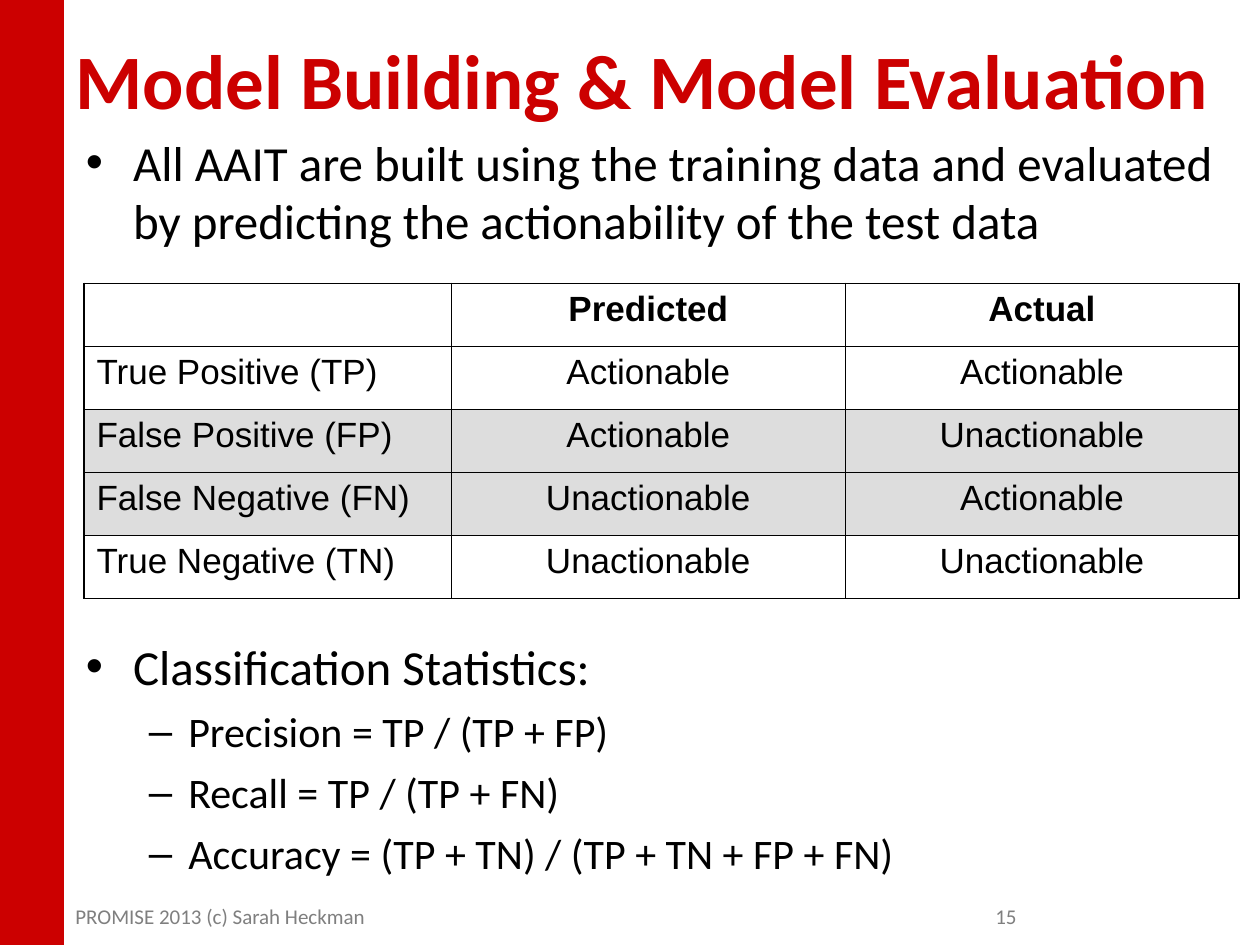
from lxml import etree
from pptx import Presentation
from pptx.dml.color import RGBColor
from pptx.enum.shapes import MSO_SHAPE
from pptx.enum.text import MSO_ANCHOR, PP_ALIGN
from pptx.oxml.ns import qn
from pptx.util import Emu, Pt

EMU_PER_PX = 9525
RED = RGBColor(0xCC, 0x00, 0x00)
BLACK = RGBColor(0x00, 0x00, 0x00)
GRAY = RGBColor(0x7F, 0x7F, 0x7F)
SHADE = RGBColor(0xDD, 0xDD, 0xDD)
LEFT, CENTER, RIGHT = PP_ALIGN.LEFT, PP_ALIGN.CENTER, PP_ALIGN.RIGHT
TOP, MIDDLE = MSO_ANCHOR.TOP, MSO_ANCHOR.MIDDLE
RECTANGLE = MSO_SHAPE.RECTANGLE

OUTER_LINE, INNER_LINE = Pt(1.08), Pt(0.45)

# Per level: bullet, left margin px, hanging px, font size, space before
LEVELS = [("•", 36, 36, 28, 7), ("–", 78, 30, 24, 6)]

OUTCOMES = [
    ["", "Predicted", "Actual"],
    ["True Positive (TP)", "Actionable", "Actionable"],
    ["False Positive (FP)", "Actionable", "Unactionable"],
    ["False Negative (FN)", "Unactionable", "Actionable"],
    ["True Negative (TN)", "Unactionable", "Unactionable"],
]
SHADED_ROWS = (2, 3)
COLUMN_WIDTHS = [280, 300, 300]

INTRODUCTION = [
    (0, "All AAIT are built using the training data and evaluated "
        "by predicting the actionability of the test data"),
]
STATISTICS = [
    (0, "Classification Statistics:"),
    (1, "Precision = TP / (TP + FP)"),
    (1, "Recall = TP / (TP + FN)"),
    (1, "Accuracy = (TP + TN) / (TP + TN + FP + FN)"),
]


def px(length):
    return Emu(length * EMU_PER_PX)


def set_font(paragraph, name, size, color, bold=False):
    font = paragraph.font
    font.name, font.size, font.bold = name, Pt(size), bold
    font.color.rgb = color


def add_text_frame(slide, box, anchor=TOP):
    frame = slide.shapes.add_textbox(*map(px, box)).text_frame
    frame.word_wrap = True
    frame.vertical_anchor = anchor
    return frame


def add_line_of_text(slide, box, text, size, color, bold=False, align=LEFT, anchor=TOP):
    paragraph = add_text_frame(slide, box, anchor).paragraphs[0]
    paragraph.text = text
    paragraph.alignment = align
    set_font(paragraph, "Calibri", size, color, bold)


def add_side_bar(slide, box):
    bar = slide.shapes.add_shape(RECTANGLE, *map(px, box))
    bar.shadow.inherit = False
    bar.fill.solid()
    bar.fill.fore_color.rgb = RED
    bar.line.color.rgb = RED
    bar.line.width = Pt(0.75)


def add_bullet_list(slide, box, items):
    frame = add_text_frame(slide, box)
    for index, (level, text) in enumerate(items):
        bullet, margin, hanging, size, space = LEVELS[level]
        paragraph = frame.add_paragraph() if index else frame.paragraphs[0]
        paragraph.text = text
        paragraph.level = level
        if index:
            paragraph.space_before = Pt(space)
        properties = paragraph._p.get_or_add_pPr()
        properties.set("marL", str(px(margin)))
        properties.set("indent", str(px(-hanging)))
        etree.SubElement(properties, qn("a:buFont"), typeface="Arial")
        etree.SubElement(properties, qn("a:buChar"), char=bullet)
        set_font(paragraph, "Calibri", size, BLACK)


def set_borders(cell, widths):
    """Draw black borders; widths are left, right, top, bottom."""
    properties = cell._tc.get_or_add_tcPr()
    for side, width in zip("LRTB", widths):
        line = etree.SubElement(properties, qn(f"a:ln{side}"), w=str(width))
        fill = etree.SubElement(line, qn("a:solidFill"))
        etree.SubElement(fill, qn("a:srgbClr"), val=str(BLACK))


def add_outcome_table(slide, box):
    row_count, column_count = len(OUTCOMES), len(COLUMN_WIDTHS)
    table = slide.shapes.add_table(row_count, column_count, *map(px, box)).table
    table.first_row = table.horz_banding = False
    for column, width in zip(table.columns, COLUMN_WIDTHS):
        column.width = px(width)
    for r, texts in enumerate(OUTCOMES):
        for c, text in enumerate(texts):
            cell = table.cell(r, c)
            edges = (c == 0, c == column_count - 1, r == 0, r == row_count - 1)
            set_borders(cell, [OUTER_LINE if edge else INNER_LINE for edge in edges])
            if r in SHADED_ROWS:
                cell.fill.solid()
                cell.fill.fore_color.rgb = SHADE
            else:
                cell.fill.background()
            paragraph = cell.text_frame.paragraphs[0]
            paragraph.text = text
            paragraph.alignment = CENTER if c else LEFT
            set_font(paragraph, "Arial", 20, BLACK, bold=r == 0)


def add_footer(slide, box):
    left, top, width, height = box
    add_line_of_text(slide, (left, top, 304, height),
                     "PROMISE 2013 (c) Sarah Heckman", 12, GRAY)
    add_line_of_text(slide, (left + width - 200, top, 200, height),
                     "15", 12, GRAY, align=RIGHT)


def main():
    presentation = Presentation()
    presentation.slide_width, presentation.slide_height = px(960), px(720)
    slide = presentation.slides.add_slide(presentation.slide_layouts[6])
    add_side_bar(slide, (0, 0, 48, 720))
    add_line_of_text(slide, (48, 0, 896, 120), "Model Building & Model Evaluation",
                     44, RED, bold=True, anchor=MIDDLE)
    add_bullet_list(slide, (56, 96, 880, 110), INTRODUCTION)
    add_outcome_table(slide, (64, 216, 880, 240))
    add_bullet_list(slide, (56, 480, 880, 204), STATISTICS)
    add_footer(slide, (48, 684, 736, 36))
    presentation.save("out.pptx")


if __name__ == "__main__":
    main()
